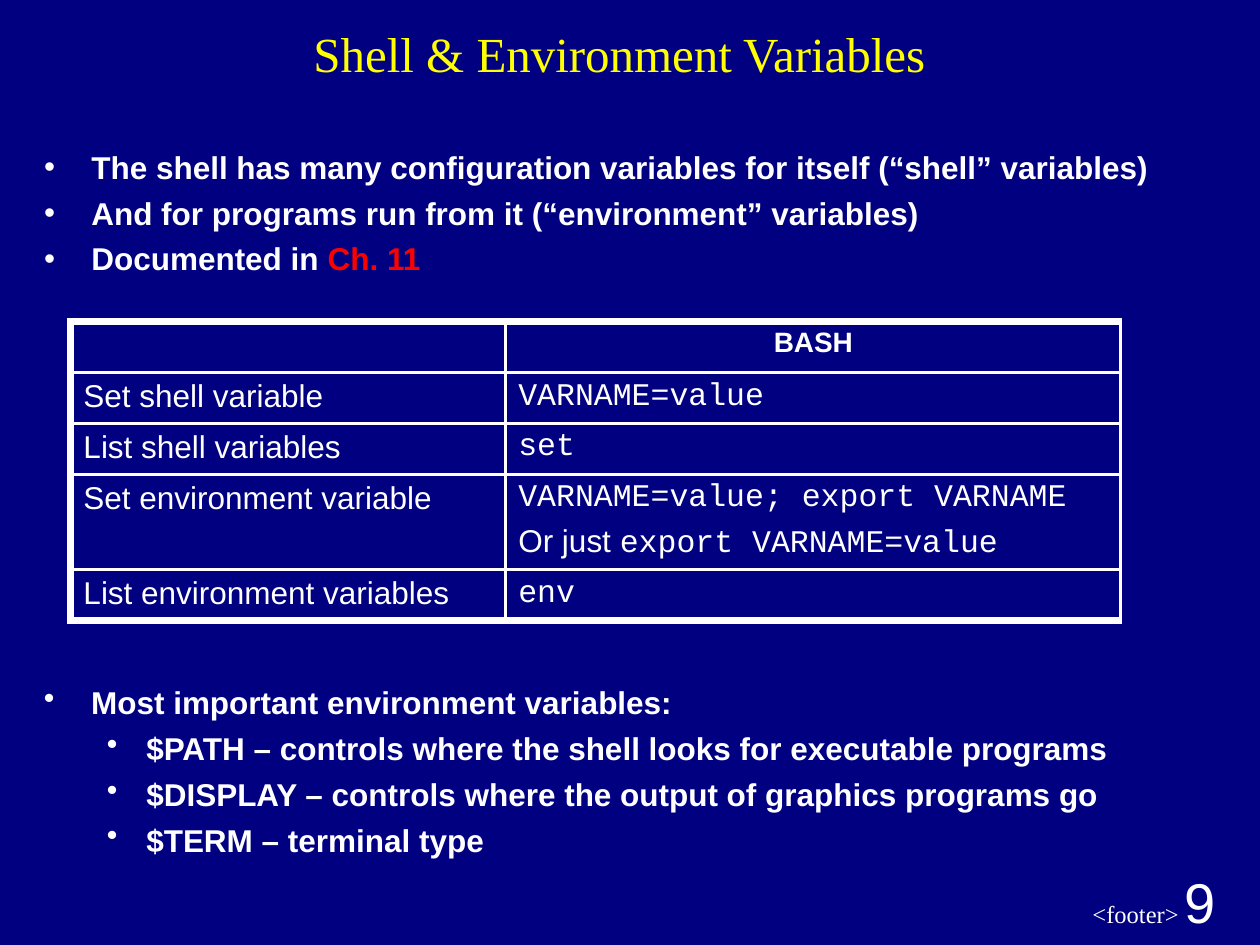
from lxml.etree import SubElement
from pptx import Presentation
from pptx.dml.color import RGBColor
from pptx.enum.text import MSO_ANCHOR, MSO_AUTO_SIZE, PP_ALIGN
from pptx.oxml.ns import qn
from pptx.util import Pt

WHITE = "FFFFFF"
hue = RGBColor.from_string


def style(par, size, face="Arial", color=WHITE, bold=False):
    font = par.font
    font.size, font.name, font.bold = Pt(size), face, bold
    font.color.rgb = hue(color)


def bullets(frame, items):
    frame.word_wrap = True
    frame.auto_size = MSO_AUTO_SIZE.NONE
    for i, (level, text) in enumerate(items):
        par = frame.paragraphs[0] if i == 0 else frame.add_paragraph()
        par.add_run().text = text
        par.level = level
        left, hang = [(27, 27), (58.5, 22.5)][level]
        props = par._p.get_or_add_pPr()
        props.set("marL", str(Pt(left)))
        props.set("indent", str(-Pt(hang)))
        tint = SubElement(props, qn("a:buClr"))
        SubElement(tint, qn("a:srgbClr"), val=WHITE)
        SubElement(props, qn("a:buChar"), char="•")
        par.space_before = Pt(4.5 if i else 0)
        style(par, 18, bold=True)


deck = Presentation()
deck.slide_width, deck.slide_height = Pt(720), Pt(540)
slide = deck.slides.add_slide(deck.slide_layouts[1])
slide.background.fill.solid()
slide.background.fill.fore_color.rgb = hue("000080")

# Title
title = slide.shapes.title
title.left, title.top, title.width, title.height = Pt(48), Pt(9.5), Pt(612), Pt(41)
frame = title.text_frame
frame.text = "Shell & Environment Variables"
frame.vertical_anchor = MSO_ANCHOR.MIDDLE
frame.auto_size = MSO_AUTO_SIZE.NONE
frame.paragraphs[0].alignment = PP_ALIGN.CENTER
style(frame.paragraphs[0], 28, "Times New Roman", "FFFF00")

# Upper list
body = slide.placeholders[1]
body.left, body.top, body.width, body.height = Pt(18), Pt(81), Pt(702), Pt(90)
bullets(body.text_frame, [
    (0, "The shell has many configuration variables for itself (“shell” variables)"),
    (0, "And for programs run from it (“environment” variables)"),
    (0, "Documented in "),
])
part = body.text_frame.paragraphs[-1].add_run()
part.text = "Ch. 11"
part.font.color.rgb = hue("FF0000")

# Lower list
box = slide.shapes.add_textbox(Pt(18), Pt(387), Pt(702), Pt(110))
bullets(box.text_frame, [
    (0, "Most important environment variables:"),
    (1, "$PATH – controls where the shell looks for executable programs"),
    (1, "$DISPLAY – controls where the output of graphics programs go"),
    (1, "$TERM – terminal type"),
])

# Command table
rows = [
    ("", ["BASH"]),
    ("Set shell variable", ["VARNAME=value"]),
    ("List shell variables", ["set"]),
    ("Set environment variable",
     ["VARNAME=value; export VARNAME", "Or just export VARNAME=value"]),
    ("List environment variables", ["env"]),
]
high = [29.5, 29, 29, 54.7, 28.8]
table = slide.shapes.add_table(5, 2, Pt(40.5), Pt(183.5), Pt(600), Pt(sum(high))).table
table.columns[0].width, table.columns[1].width = Pt(248.5), Pt(351.5)
for r, (label, code) in enumerate(rows):
    table.rows[r].height = Pt(high[r])
    for c, lines in enumerate([[label], code]):
        cell = table.cell(r, c)
        cell.margin_top = cell.margin_bottom = Pt(3.6)
        # Thick left, top and bottom edges, thin elsewhere
        props = cell._tc.get_or_add_tcPr()
        thick = {"L": c == 0, "R": False, "T": r == 0, "B": r == 4}
        for side, wide in thick.items():
            line = SubElement(props, qn("a:ln" + side), w=str(Pt(4.5 if wide else 2)))
            fill = SubElement(line, qn("a:solidFill"))
            SubElement(fill, qn("a:srgbClr"), val=WHITE)
        cell.fill.background()
        for i, text in enumerate(lines):
            par = cell.text_frame.paragraphs[0] if i == 0 else cell.text_frame.add_paragraph()
            par.space_before = Pt(4.5 if i else 0)
            head, word, tail = text.partition("Or just ")
            if word:
                part = par.add_run()
                part.text = word
                part.font.name = "Arial"
            if head or tail:
                par.add_run().text = tail or head
            if r == 0:
                par.alignment = PP_ALIGN.CENTER
                style(par, 16, bold=True)
            else:
                style(par, 18, "Courier New" if c else "Arial")

# Footer and page number
foot = slide.shapes.add_textbox(Pt(540), Pt(492), Pt(162), Pt(36)).text_frame
foot.word_wrap = True
par = foot.paragraphs[0]
par.alignment = PP_ALIGN.RIGHT
par.add_run().text = "<footer> "
page = par.add_run()
page.text = "9"
page.font.size, page.font.name = Pt(32), "Arial"
style(par, 14, "Times New Roman")

deck.save("out.pptx")
